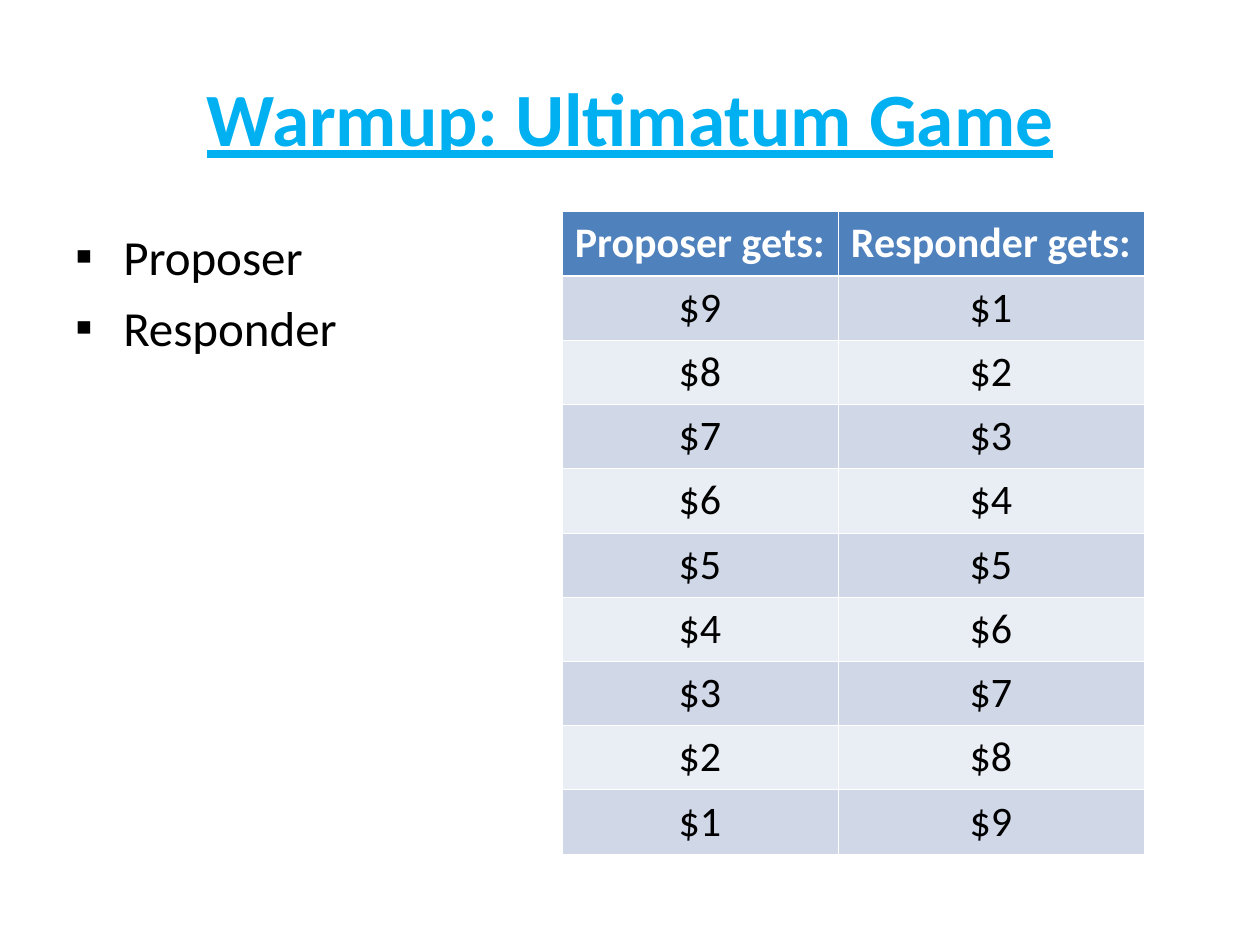
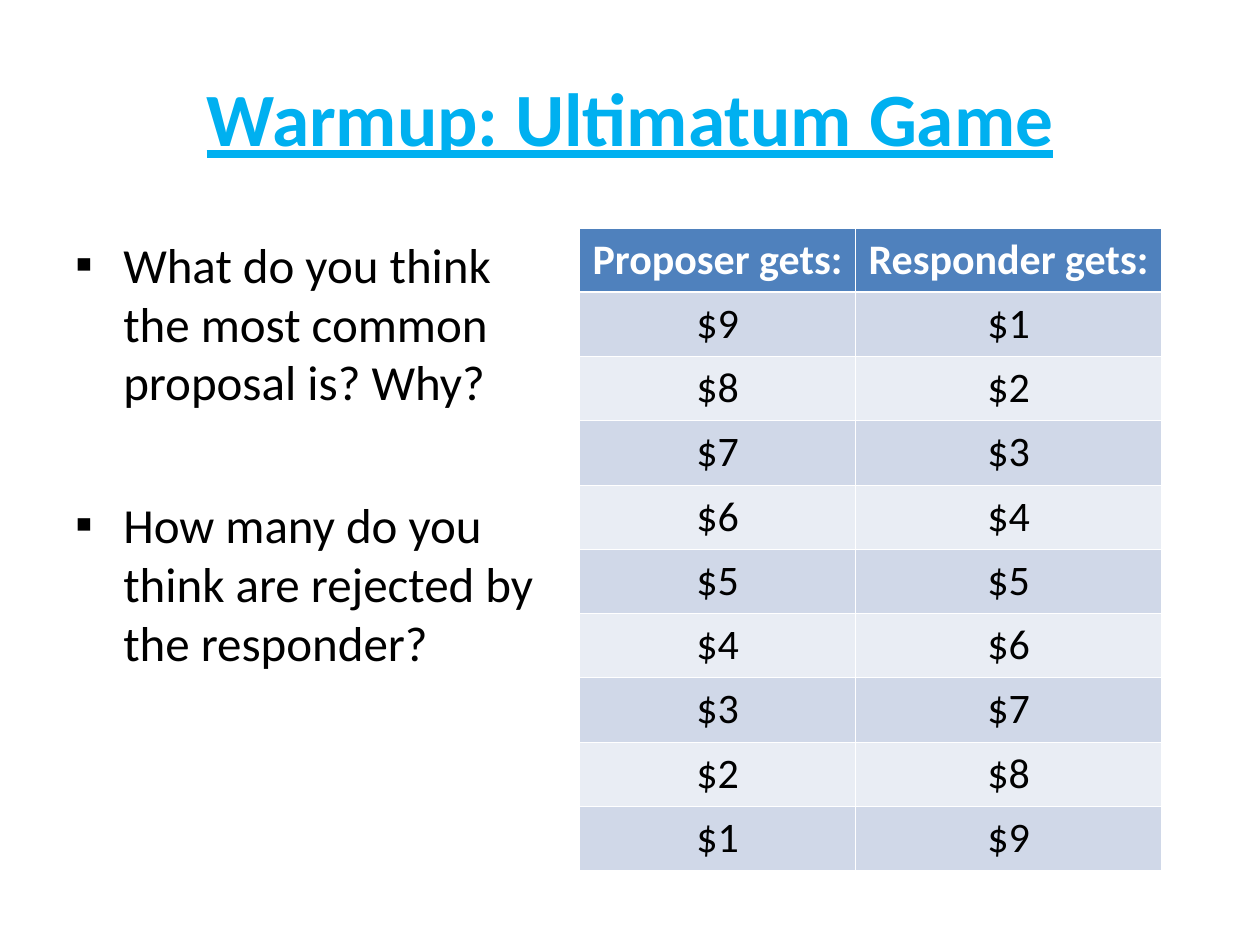
import dataclasses

import lxml.etree
import pptx
import pptx.dml.color
import pptx.enum.text
import pptx.oxml.ns
import pptx.util


@dataclasses.dataclass(frozen=True)
class Theme:
    font: str = "Calibri"
    title_size: int = 43
    bullet_size: int = 28
    table_size: int = 24
    title: str = "00B0F0"
    ink: str = "000000"
    white: str = "FFFFFF"
    header: str = "4F81BD"
    bands: tuple = ("D0D8E8", "E9EDF4")
    thin_rule: float = 0.45
    header_rule: float = 1.47


theme = Theme()
deck = pptx.Presentation()
deck.slide_width = pptx.util.Inches(10)
deck.slide_height = pptx.util.Inches(7.5)

# The page is a grid of 100 columns by 75 rows of square units.
unit = deck.slide_width / 100
title_area = (5, 3, 90, 12.5)
table_columns = (21.9, 24.3)
table_row = 5.1
bullet_indent = 3.8

total = 10
split_rows = [("Proposer gets:", "Responder gets:")]
split_rows += [(f"${total - share}", f"${share}") for share in range(1, total)]

pages = [
    {
        "bullets": ["Proposer", "Responder"],
        "bullet_area": (5, 17.5, 26.8, 14.7),
        "bullet_gap": 7,
        "table_corner": (44.6, 16.8),
    },
    {
        "bullets": [
            "What do you think the most common proposal is? Why?",
            "How many do you think are rejected by the responder?",
        ],
        "bullet_area": (5, 18.1, 40.8, 40.7),
        "bullet_gap": 48,
        "table_corner": (46, 18.1),
    },
]


def grid(*lengths):
    """Turn grid units into slide lengths."""
    return [round(length * unit) for length in lengths]


def add_span(para, text, size, color, bold=False, underline=False):
    span = para.add_run()
    span.text = text
    span.font.name = theme.font
    span.font.size = pptx.util.Pt(size)
    span.font.bold = bold
    span.font.underline = underline
    span.font.color.rgb = pptx.dml.color.RGBColor.from_string(color)


qn = pptx.oxml.ns.qn
center = pptx.enum.text.PP_ALIGN.CENTER
middle = pptx.enum.text.MSO_ANCHOR.MIDDLE

for content in pages:
    page = deck.slides.add_slide(deck.slide_layouts[6])

    # Title
    frame = page.shapes.add_textbox(*grid(*title_area)).text_frame
    frame.word_wrap = True
    frame.vertical_anchor = middle
    para = frame.paragraphs[0]
    para.alignment = center
    add_span(para, "Warmup: Ultimatum Game", theme.title_size, theme.title,
             bold=True, underline=True)

    # Bullets
    frame = page.shapes.add_textbox(*grid(*content["bullet_area"])).text_frame
    frame.word_wrap = True
    for index, text in enumerate(content["bullets"]):
        para = frame.add_paragraph() if index else frame.paragraphs[0]
        if index:
            para.space_before = pptx.util.Pt(content["bullet_gap"])
        properties = para._p.get_or_add_pPr()
        indent = grid(bullet_indent)[0]
        properties.set("marL", str(indent))
        properties.set("indent", str(-indent))
        color = lxml.etree.SubElement(properties, qn("a:buClr"))
        lxml.etree.SubElement(color, qn("a:srgbClr"), val=theme.ink)
        lxml.etree.SubElement(properties, qn("a:buFont"), typeface=theme.font)
        lxml.etree.SubElement(properties, qn("a:buChar"), char="▪")
        add_span(para, text, theme.bullet_size, theme.ink)

    # Table of splits
    area = (*content["table_corner"], sum(table_columns), table_row * len(split_rows))
    table = page.shapes.add_table(len(split_rows), len(table_columns), *grid(*area)).table
    for column, width in zip(table.columns, grid(*table_columns)):
        column.width = width
    for row_index, values in enumerate(split_rows):
        is_header = row_index == 0
        fill = theme.header if is_header else theme.bands[(row_index - 1) % 2]
        top = theme.header_rule if row_index == 1 else theme.thin_rule
        bottom = theme.header_rule if is_header else theme.thin_rule
        rules = {"a:lnL": theme.thin_rule, "a:lnR": theme.thin_rule,
                 "a:lnT": top, "a:lnB": bottom}
        for column_index, value in enumerate(values):
            cell = table.cell(row_index, column_index)
            cell.fill.solid()
            cell.fill.fore_color.rgb = pptx.dml.color.RGBColor.from_string(fill)
            properties = cell._tc.get_or_add_tcPr()
            for position, (tag, width) in enumerate(rules.items()):
                line = lxml.etree.Element(qn(tag), w=str(int(pptx.util.Pt(width))))
                solid = lxml.etree.SubElement(line, qn("a:solidFill"))
                lxml.etree.SubElement(solid, qn("a:srgbClr"), val=theme.white)
                properties.insert(position, line)
            para = cell.text_frame.paragraphs[0]
            para.alignment = center
            add_span(para, value, theme.table_size,
                     theme.white if is_header else theme.ink, bold=is_header)

deck.save("out.pptx")
